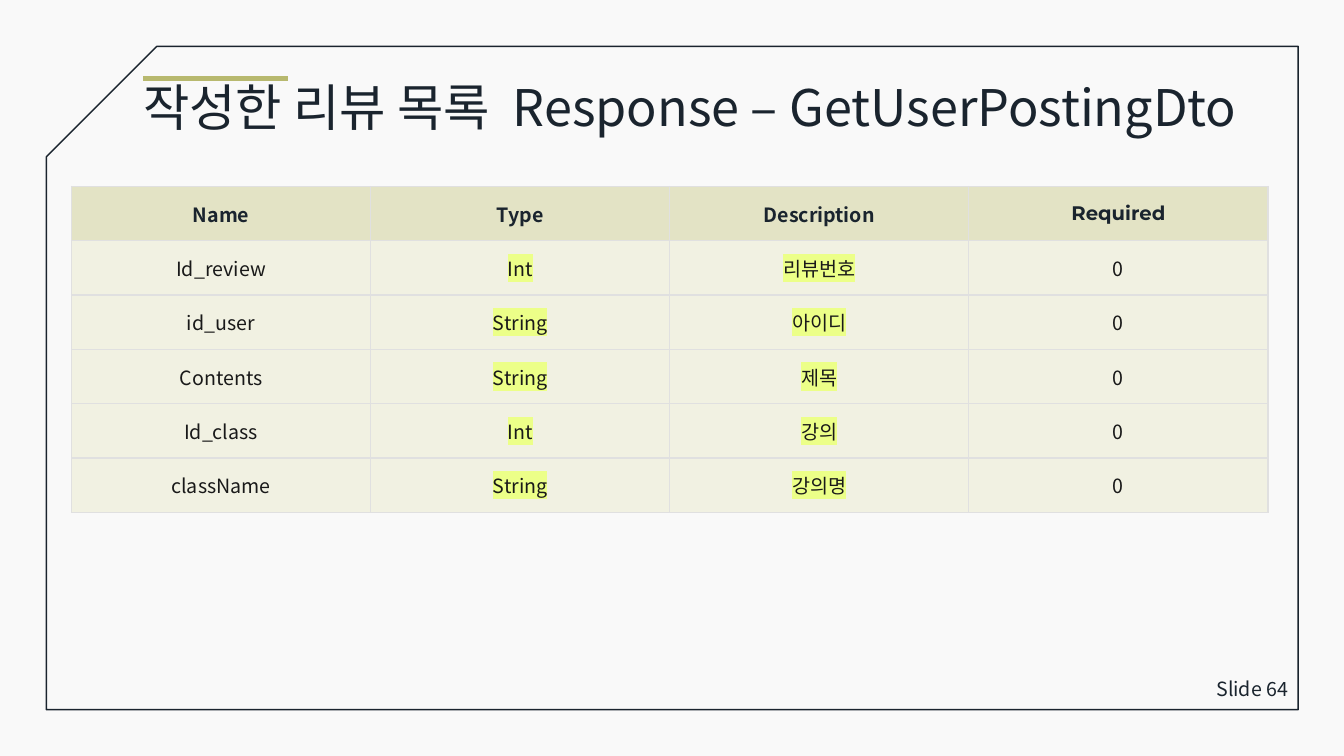
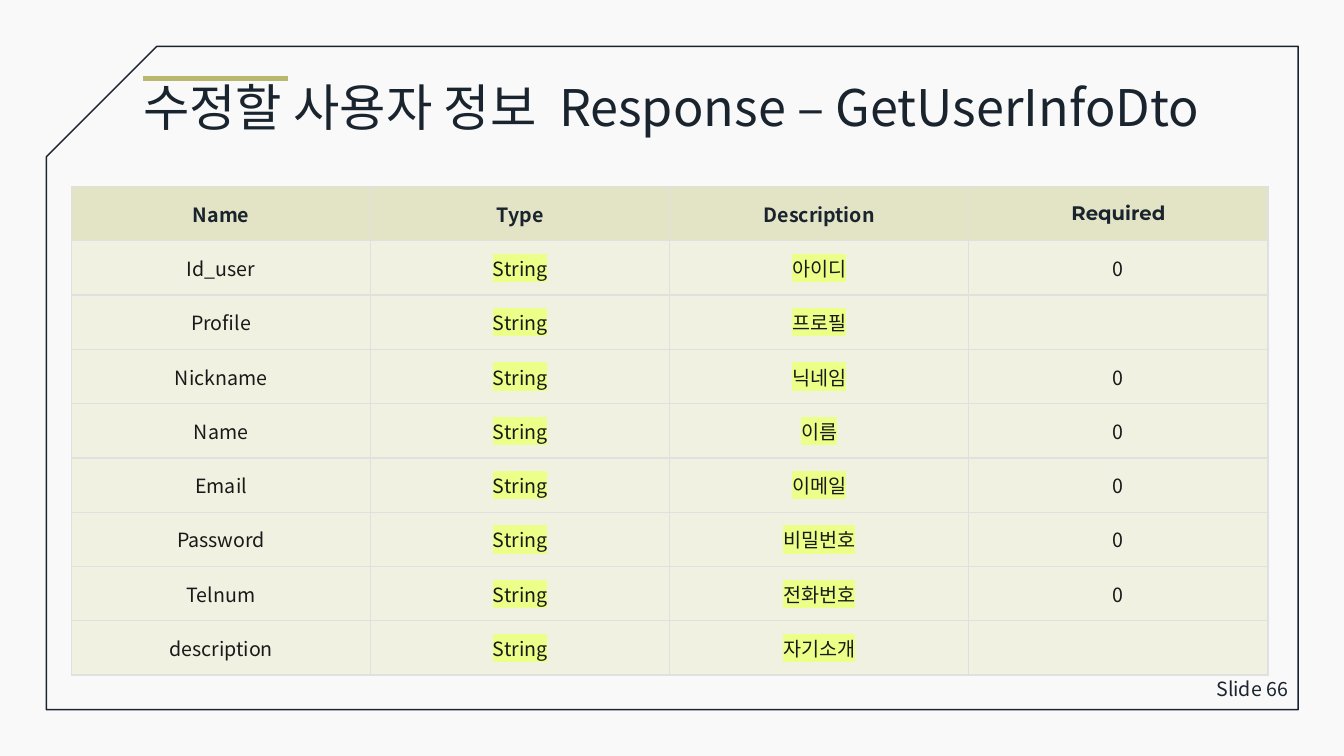
from dataclasses import dataclass

from lxml import etree
from pptx import Presentation
from pptx.dml.color import RGBColor
from pptx.enum.shapes import MSO_CONNECTOR, MSO_SHAPE
from pptx.enum.text import MSO_ANCHOR, MSO_AUTO_SIZE, PP_ALIGN
from pptx.oxml.ns import qn
from pptx.util import Pt

SNIPPED = MSO_SHAPE.SNIP_1_RECTANGLE
STRAIGHT = MSO_CONNECTOR.STRAIGHT
TOP, MIDDLE = MSO_ANCHOR.TOP, MSO_ANCHOR.MIDDLE
NO_FIT = MSO_AUTO_SIZE.NONE
LEFT, CENTER, RIGHT = PP_ALIGN.LEFT, PP_ALIGN.CENTER, PP_ALIGN.RIGHT
TITLE_ONLY = 5


@dataclass(frozen=True)
class Theme:
    font: str = "Noto Sans CJK KR"
    accent_font: str = "Montserrat"
    title_size: int = 36
    text_size: int = 14
    background: str = "F9F9F9"
    ink: str = "1A242E"
    cell_ink: str = "191919"
    accent: str = "B8B96F"
    header_fill: str = "E3E3C5"
    cell_fill: str = "F1F1E2"
    border: str = "E0E0E0"
    highlight: str = "ECFF88"


T = Theme()
TITLE_BOX = (95, 59, 832, 50)
FRAME_BOX = (33.1, 33.1, 894.2, 473.8)
NUMBER_BOX = (833, 477.4, 94.3, 29.5)
TABLE_LEFT, TABLE_TOP = 51.1, 133.2
COL_WIDTH, ROW_HEIGHT = 213.66, 38.8
HEADER = ("Name", "Type", "Description", "Required")

SLIDES = [
    dict(
        subject="작성한 리뷰 목록", dto="Response – GetUserPostingDto",
        number="Slide 64",
        rows=[
            ("Id_review", "Int", "리뷰번호", "0"),
            ("id_user", "String", "아이디", "0"),
            ("Contents", "String", "제목", "0"),
            ("Id_class", "Int", "강의", "0"),
            ("className", "String", "강의명", "0"),
        ],
    ),
    dict(
        subject="수정할 사용자 정보", dto="Response – GetUserInfoDto",
        number="Slide 66",
        rows=[
            ("Id_user", "String", "아이디", "0"),
            ("Profile", "String", "프로필", ""),
            ("Nickname", "String", "닉네임", "0"),
            ("Name", "String", "이름", "0"),
            ("Email", "String", "이메일", "0"),
            ("Password", "String", "비밀번호", "0"),
            ("Telnum", "String", "전화번호", "0"),
            ("description", "String", "자기소개", ""),
        ],
    ),
]


def rgb(color):
    return RGBColor.from_string(color)


def pts(values):
    return [Pt(v) for v in values]


def set_attrs(obj, **values):
    for name, value in values.items():
        setattr(obj, name, value)


def add_color(parent, tag, color):
    """Append a DrawingML element that holds one RGB colour."""
    el = etree.SubElement(parent, qn(tag))
    etree.SubElement(el, qn("a:srgbClr"), val=color)
    return el


def add_run(p, text, size=T.text_size, color=T.ink, font=T.font, bold=False):
    r = p.add_run()
    r.text = text
    set_attrs(r.font, name=font, size=Pt(size), bold=bold)
    r.font.color.rgb = rgb(color)
    etree.SubElement(r.font._element, qn("a:ea"), typeface=font)
    return r


def highlight(r):
    rpr = r.font._element
    mark = add_color(rpr, "a:highlight", T.highlight)
    rpr.find(qn("a:latin")).addprevious(mark)


def set_borders(cell):
    tcpr = cell._tc.get_or_add_tcPr()
    for i, side in enumerate("LRTB"):
        ln = etree.Element(qn(f"a:ln{side}"), w=str(Pt(1)))
        add_color(ln, "a:solidFill", T.border)
        tcpr.insert(i, ln)


def share_frame(layout, s):
    """Draw the frame and accent line on s, then move them to its layout."""
    frame = s.shapes.add_shape(SNIPPED, *pts(FRAME_BOX))
    frame.shadow.inherit = False
    frame.fill.background()
    frame.line.color.rgb = rgb(T.ink)
    frame.line.width = Pt(1)
    frame.element.spPr.xfrm.set("flipH", "1")

    accent = s.shapes.add_connector(STRAIGHT, *pts((102.4, 56.2, 205.6, 56.2)))
    accent.line.color.rgb = rgb(T.accent)
    accent.line.width = Pt(4)
    etree.SubElement(accent.element.spPr, qn("a:effectLst"))

    for sp in (frame, accent):
        layout.shapes.element.append(sp.element)


def setup_layout(layout):
    layout.background.fill.solid()
    layout.background.fill.fore_color.rgb = rgb(T.background)
    for ph in list(layout.placeholders)[1:]:
        ph.element.getparent().remove(ph.element)


def set_title(s, subject, dto):
    sp = s.shapes.title
    left, top, width, height = pts(TITLE_BOX)
    set_attrs(sp, left=left, top=top, width=width, height=height)
    tf = sp.text_frame
    set_attrs(tf, word_wrap=True, auto_size=NO_FIT, vertical_anchor=TOP,
              margin_top=0)
    p = tf.paragraphs[0]
    set_attrs(p, alignment=LEFT, line_spacing=0.9)
    add_run(p, subject, T.title_size)
    gap = add_run(p, " ", T.title_size)
    gap.font._element.set("spc", "800")
    add_run(p, dto, T.title_size)


def add_number(s, text):
    tf = s.shapes.add_textbox(*pts(NUMBER_BOX)).text_frame
    set_attrs(tf, word_wrap=True, vertical_anchor=MIDDLE)
    p = tf.paragraphs[0]
    p.alignment = RIGHT
    add_run(p, text)


def fill_cell(cell, text, column, is_header):
    cell.vertical_anchor = MIDDLE
    cell.fill.solid()
    cell.fill.fore_color.rgb = rgb(T.header_fill if is_header else T.cell_fill)
    set_borders(cell)
    if not text:
        return
    p = cell.text_frame.paragraphs[0]
    p.alignment = CENTER
    if is_header:
        font = T.accent_font if text == "Required" else T.font
        add_run(p, text, font=font, bold=True)
    else:
        r = add_run(p, text, color=T.cell_ink)
        if HEADER[column] in ("Type", "Description"):
            highlight(r)


def add_field_table(s, rows):
    lines = [HEADER, *rows]
    box = (TABLE_LEFT, TABLE_TOP,
           COL_WIDTH * len(HEADER), ROW_HEIGHT * len(lines))
    table = s.shapes.add_table(len(lines), len(HEADER), *pts(box)).table
    for col in table.columns:
        col.width = Pt(COL_WIDTH)
    for i, line in enumerate(lines):
        table.rows[i].height = Pt(ROW_HEIGHT)
        for j, text in enumerate(line):
            fill_cell(table.cell(i, j), text, j, is_header=i == 0)


def main():
    prs = Presentation()
    set_attrs(prs, slide_width=Pt(960), slide_height=Pt(540))
    layout = prs.slide_layouts[TITLE_ONLY]
    setup_layout(layout)
    for i, content in enumerate(SLIDES):
        s = prs.slides.add_slide(layout)
        if i == 0:
            share_frame(layout, s)
        add_number(s, content["number"])
        set_title(s, content["subject"], content["dto"])
        add_field_table(s, content["rows"])
    prs.save("out.pptx")


if __name__ == "__main__":
    main()
